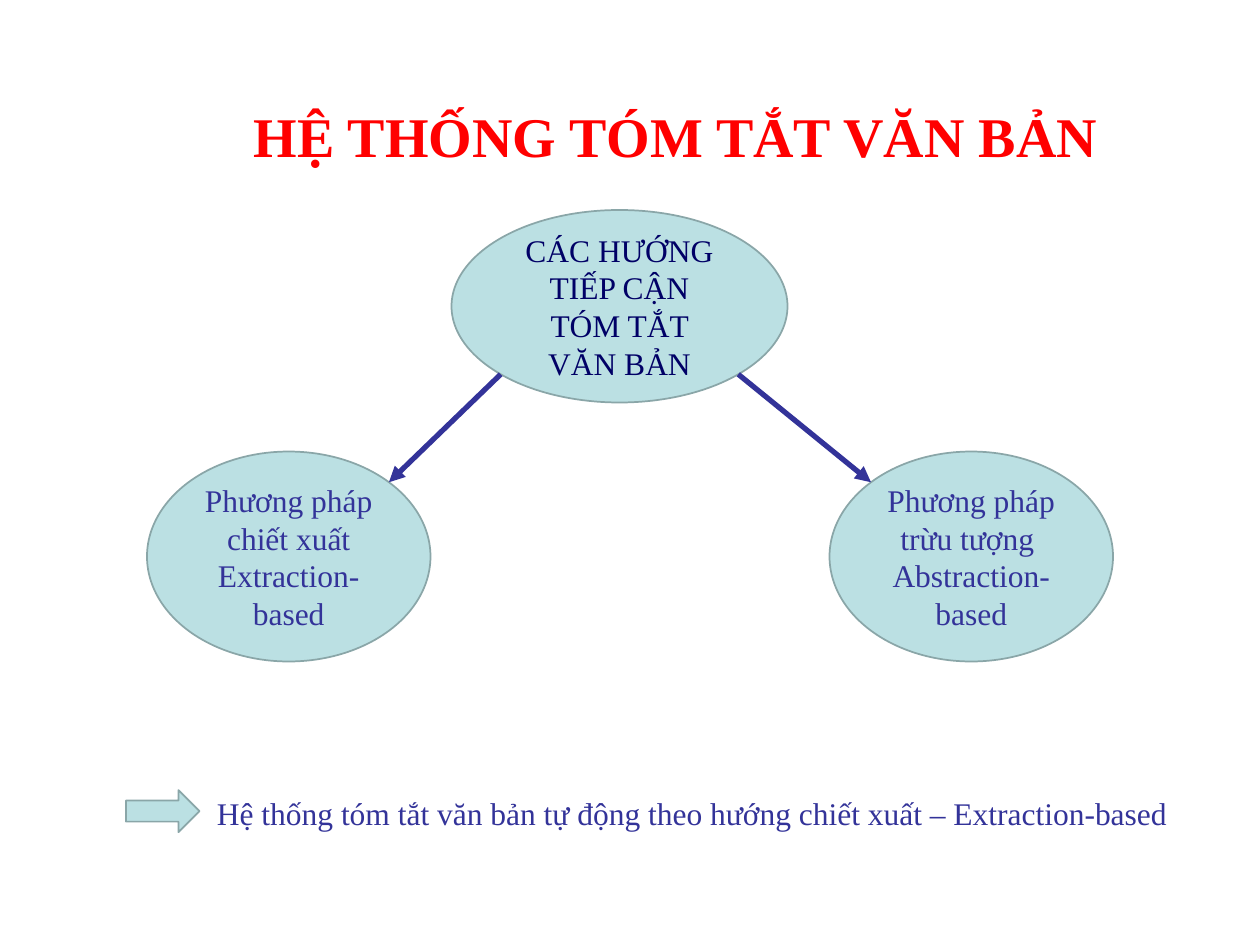
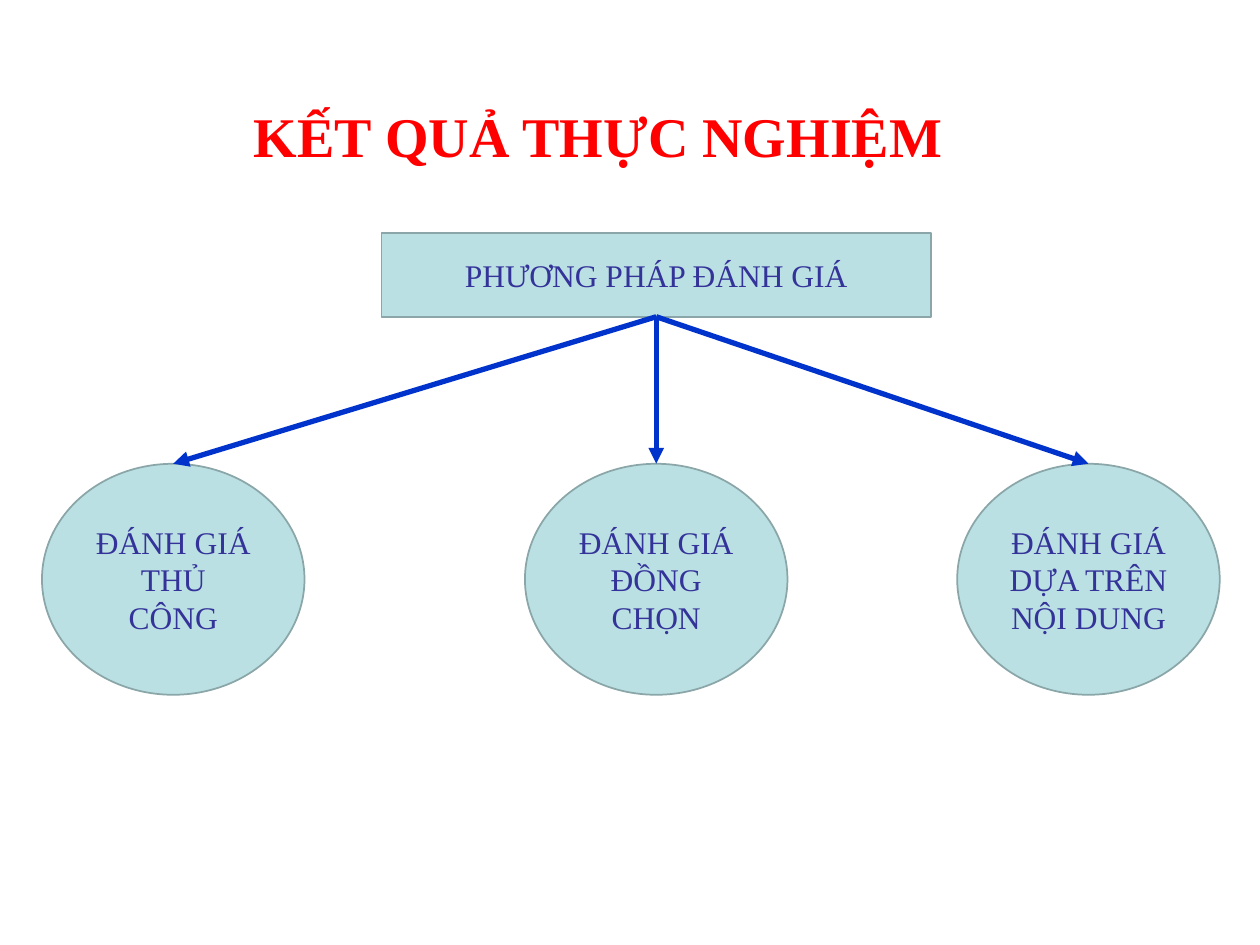
from math import sqrt

from pptx import Presentation
from pptx.dml.color import RGBColor
from pptx.enum.shapes import MSO_CONNECTOR, MSO_SHAPE
from pptx.enum.text import MSO_ANCHOR, PP_ALIGN
from pptx.oxml.ns import qn
from pptx.util import Pt
from lxml.etree import SubElement

RED = RGBColor(0xFF, 0x00, 0x00)
NAVY = RGBColor(0x00, 0x00, 0x66)
INDIGO = RGBColor(0x33, 0x33, 0x99)
BLUE = RGBColor(0x00, 0x33, 0xCC)
PALE = RGBColor(0xBB, 0xE0, 0xE3)
EDGE = RGBColor(0x8A, 0xA6, 0xA8)
FONT = "Times New Roman"
DIAGONAL = 1 / sqrt(2)


class Deck:
    def __init__(self):
        self.prs = Presentation()
        self.prs.slide_width, self.prs.slide_height = Pt(720), Pt(540)
        self.s = None

    def slide(self, title):
        self.s = self.prs.slides.add_slide(self.prs.slide_layouts[6])
        tf = self.text(title, 138, 22, 558, 74.5, 32, RED, True)
        tf.vertical_anchor = MSO_ANCHOR.BOTTOM
        tf.margin_bottom = 0

    def style(self, tf, text, size, color, bold=False, align=PP_ALIGN.LEFT):
        tf.text = text
        tf.word_wrap = True
        for p in tf.paragraphs:
            p.alignment = align
            for r in p.runs:
                r.font.name, r.font.size, r.font.bold = FONT, Pt(size), bold
                r.font.color.rgb = color

    def text(self, text, x, y, w, h, size=18, color=INDIGO, bold=False):
        tf = self.s.shapes.add_textbox(Pt(x), Pt(y), Pt(w), Pt(h)).text_frame
        self.style(tf, text, size, color, bold)
        return tf

    def shape(self, kind, x, y, w, h, text="", color=INDIGO):
        sp = self.s.shapes.add_shape(kind, Pt(x), Pt(y), Pt(w), Pt(h))
        sp.shadow.inherit = False
        sp.fill.solid()
        sp.fill.fore_color.rgb = PALE
        sp.line.color.rgb = EDGE
        sp.line.width = Pt(1)
        if text:
            self.style(sp.text_frame, text, 18, color, align=PP_ALIGN.CENTER)
            sp.text_frame.vertical_anchor = MSO_ANCHOR.MIDDLE
        return sp

    def arrow(self, start, end, color):
        c = self.s.shapes.add_connector(MSO_CONNECTOR.STRAIGHT, *start, *end)
        c.line.color.rgb = color
        c.line.width = Pt(3)
        SubElement(c.line._get_or_add_ln(), qn("a:tailEnd"), type="triangle")
        SubElement(c._element.spPr, qn("a:effectLst"))


def site(sp, dx, dy):
    return (int(sp.left + sp.width * (1 + dx) / 2),
            int(sp.top + sp.height * (1 + dy) / 2))


def approaches(deck):
    deck.slide("HỆ THỐNG TÓM TẮT VĂN BẢN")
    root = deck.shape(MSO_SHAPE.OVAL, 258, 120, 192, 110,
                      "CÁC HƯỚNG TIẾP CẬN TÓM TẮT VĂN BẢN", NAVY)
    methods = [(84, -1, "Phương pháp chiết xuất\nExtraction-based"),
               (474, 1, "Phương pháp trừu tượng \nAbstraction-based")]
    for x, side, text in methods:
        method = deck.shape(MSO_SHAPE.OVAL, x, 258, 162, 120, text)
        deck.arrow(site(root, side * DIAGONAL, DIAGONAL),
                   site(method, -side * DIAGONAL, -DIAGONAL), INDIGO)
    tf = deck.text("Hệ thống tóm tắt văn bản tự động theo hướng chiết xuất"
                   " – Extraction-based", 72, 450, 612, 29)
    tf.margin_left = Pt(52)
    deck.shape(MSO_SHAPE.RIGHT_ARROW, 72, 451.5, 42, 24)


def evaluation(deck):
    deck.slide("KẾT QUẢ THỰC NGHIỆM")
    root = deck.shape(MSO_SHAPE.RECTANGLE, 218, 133, 314, 48,
                      "PHƯƠNG PHÁP ĐÁNH GIÁ")
    methods = [(24, "ĐÁNH GIÁ THỦ CÔNG"),
               (300, "ĐÁNH GIÁ ĐỒNG CHỌN"),
               (547, "ĐÁNH GIÁ DỰA TRÊN NỘI DUNG")]
    for x, text in methods:
        method = deck.shape(MSO_SHAPE.OVAL, x, 265, 150, 132, text)
        deck.arrow(site(root, 0, 1), site(method, 0, -1), BLUE)


def main():
    deck = Deck()
    approaches(deck)
    evaluation(deck)
    deck.prs.save("out.pptx")


if __name__ == "__main__":
    main()
